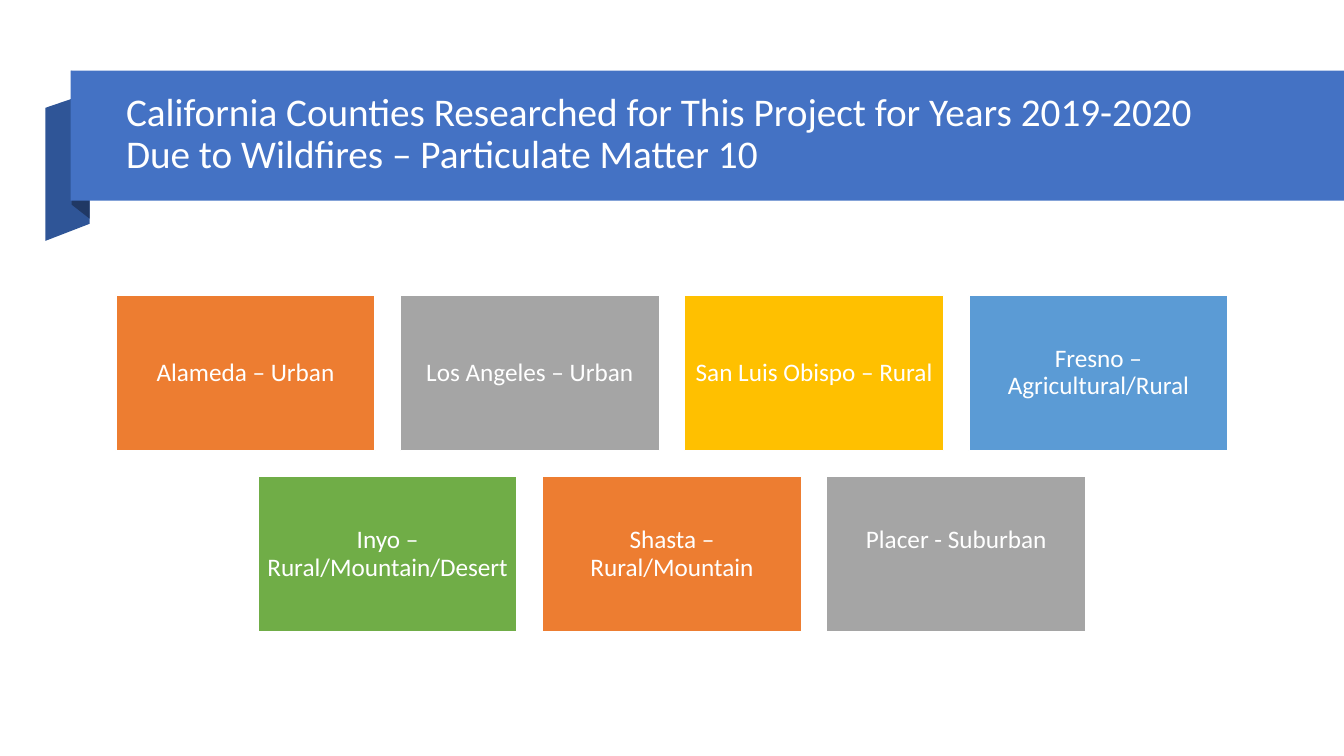
from pptx import Presentation
from pptx.dml.color import RGBColor
from pptx.enum.shapes import MSO_SHAPE as Shape
from pptx.enum.text import MSO_ANCHOR as Anchor, MSO_AUTO_SIZE as AutoSize, PP_ALIGN as Align
from pptx.util import Inches, Pt

COLORS = {
    "white": "FFFFFF",
    "banner": "4472C4",
    "ribbon": "2F5597",
    "fold": "203864",
    "orange": "ED7D31",
    "gray": "A5A5A5",
    "gold": "FFC000",
    "blue": "5B9BD5",
    "green": "70AD47",
}
SLIDE_WIDTH, SLIDE_HEIGHT = 13.33, 7.5
BANNER_LEFT, BANNER_TOP, BANNER_HEIGHT = 0.7, 0.7, 1.29
CARD_WIDTH, CARD_HEIGHT, CARD_GAP = 2.57, 1.54, 0.25
ROW_PITCH, FIRST_ROW = 1.8, 2.93
INSET, LINE_HEIGHT = 0.07, 0.27

RIBBON_PARTS = [
    ("ribbon", [(0.89, 2.22), (0.45, 2.39), (0.45, 1.07), (0.89, 0.92)]),
    ("fold", [(0.89, 2.17), (0.71, 2.03), (0.71, 0.7), (0.89, 0.85)]),
]
COUNTY_ROWS = [
    [
        ("Alameda – Urban", "orange", 0),
        ("Los Angeles – Urban", "gray", 0),
        ("San Luis Obispo – Rural", "gold", 0),
        ("Fresno – Agricultural/Rural", "blue", 0),
    ],
    [
        ("Inyo – Rural/Mountain/Desert", "green", 0),
        ("Shasta – Rural/Mountain", "orange", 0),
        ("Placer - Suburban", "gray", LINE_HEIGHT),
    ],
]


def paint(shape, color):
    shape.shadow.inherit = False
    shape.fill.solid()
    shape.fill.fore_color.rgb = RGBColor.from_string(COLORS[color])
    shape.line.fill.background()


def write(shape, text, size, alignment):
    frame = shape.text_frame
    frame.text = text
    frame.word_wrap = True
    frame.auto_size = AutoSize.NONE
    frame.vertical_anchor = Anchor.MIDDLE
    paragraph = frame.paragraphs[0]
    paragraph.alignment = alignment
    paragraph.line_spacing = 0.9
    font = paragraph.runs[0].font
    font.name = "Calibri"
    font.size = Pt(size)
    font.color.rgb = RGBColor.from_string(COLORS["white"])


presentation = Presentation()
presentation.slide_width = Inches(SLIDE_WIDTH)
presentation.slide_height = Inches(SLIDE_HEIGHT)
slide = presentation.slides.add_slide(presentation.slide_layouts[5])
shapes = slide.shapes

for color, points in RIBBON_PARTS:
    corners = [(Inches(x), Inches(y)) for x, y in points]
    builder = shapes.build_freeform(*corners[0])
    builder.add_line_segments(corners[1:], close=True)
    paint(builder.convert_to_shape(), color)

banner = shapes.add_shape(
    Shape.RECTANGLE, Inches(BANNER_LEFT), Inches(BANNER_TOP),
    Inches(SLIDE_WIDTH - BANNER_LEFT), Inches(BANNER_HEIGHT),
)
paint(banner, "banner")

title = shapes.title
title.left, title.top = Inches(1.15), Inches(0.86)
title.width, title.height = Inches(11.27), Inches(0.96)
write(
    title,
    "California Counties Researched for This Project for Years 2019-2020 "
    "Due to Wildfires – Particulate Matter 10",
    28, Align.LEFT,
)
banner._element.addnext(title._element)

for row, counties in enumerate(COUNTY_ROWS):
    row_width = len(counties) * (CARD_WIDTH + CARD_GAP) - CARD_GAP
    row_left = (SLIDE_WIDTH - row_width) / 2
    for column, (label, color, lift) in enumerate(counties):
        card = shapes.add_shape(
            Shape.RECTANGLE,
            Inches(row_left + column * (CARD_WIDTH + CARD_GAP)),
            Inches(FIRST_ROW + row * ROW_PITCH),
            Inches(CARD_WIDTH), Inches(CARD_HEIGHT),
        )
        paint(card, color)
        card.line.color.rgb = RGBColor.from_string(COLORS["white"])
        card.line.width = Pt(1)
        write(card, label, 18, Align.CENTER)
        frame = card.text_frame
        frame.margin_left = frame.margin_right = frame.margin_top = Inches(INSET)
        frame.margin_bottom = Inches(INSET + lift)

presentation.save("out.pptx")
